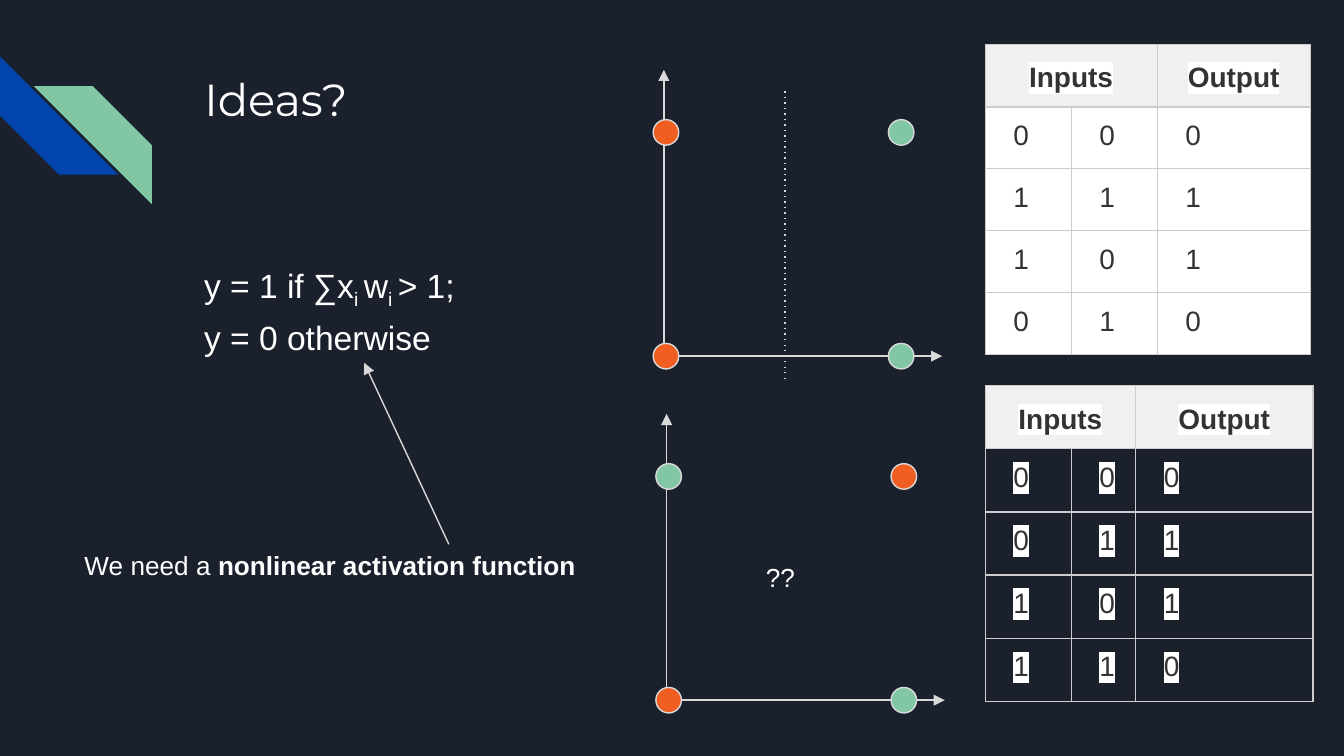
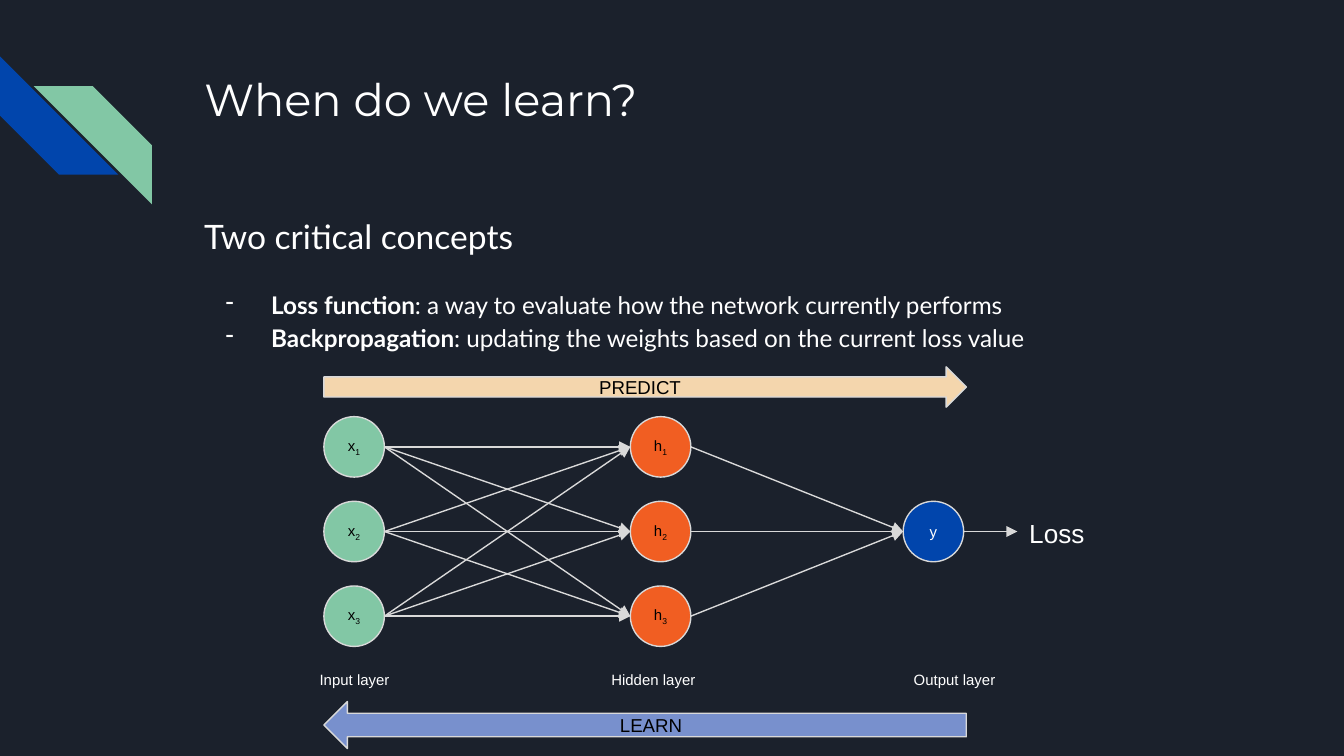
from dataclasses import dataclass
from itertools import product

from lxml import etree
from pptx import Presentation
from pptx.dml.color import RGBColor
from pptx.enum.shapes import MSO_CONNECTOR, MSO_SHAPE
from pptx.enum.text import MSO_ANCHOR, MSO_AUTO_SIZE, PP_ALIGN
from pptx.oxml.ns import qn
from pptx.util import Inches, Pt

STRIPE = MSO_SHAPE.DIAGONAL_STRIPE
DOT = MSO_SHAPE.OVAL
NODE = MSO_SHAPE.FLOWCHART_CONNECTOR
RIGHT_ARROW = MSO_SHAPE.RIGHT_ARROW
LEFT_ARROW = MSO_SHAPE.LEFT_ARROW
STRAIGHT = MSO_CONNECTOR.STRAIGHT
LEFT, CENTER = PP_ALIGN.LEFT, PP_ALIGN.CENTER
TOP, MIDDLE = MSO_ANCHOR.TOP, MSO_ANCHOR.MIDDLE
NO_FIT = MSO_AUTO_SIZE.NONE
TITLE_ONLY = 5
COLUMNS = 100


@dataclass(frozen=True)
class Theme:
    dark: str = "1B212C"
    white: str = "FFFFFF"
    black: str = "000000"
    blue: str = "0145AC"
    green: str = "82C7A5"
    orange: str = "F15E22"
    sand: str = "F4D6AD"
    periwinkle: str = "7890CD"
    line: str = "D9D9D9"
    border: str = "CCCCCC"
    header: str = "F0F0F0"
    ink: str = "333333"
    title_font: str = "Montserrat"
    body_font: str = "Lato"
    plain_font: str = "Arial"
    title: int = 24
    lead: int = 18
    cell: int = 15
    note: int = 14
    item: int = 13
    arrow: int = 10
    label: int = 8
    stroke: float = 0.75
    spacing: float = 1.15


T = Theme()


def rgb(color):
    return RGBColor.from_string(color)


def add_xml(parent, tag, **attrs):
    return etree.SubElement(parent, qn(tag), attrs)


class Deck:
    def __init__(self):
        self.prs = Presentation()
        self.prs.slide_width = Inches(10)
        self.prs.slide_height = Inches(5.625)
        self.unit = self.prs.slide_width / COLUMNS
        fill = self.prs.slide_master.background.fill
        fill.solid()
        fill.fore_color.rgb = rgb(T.dark)

    def grid(self, *cells):
        return [round(c * self.unit) for c in cells]

    def slide(self, title):
        self.s = self.prs.slides.add_slide(self.prs.slide_layouts[TITLE_ONLY])
        self.shape(STRIPE, (0, 4.2, 8.8, 8.8), T.blue, outlined=False).rotation = 270
        green = self.shape(STRIPE, (2.5, 6.4, 8.8, 8.8), T.green, outlined=False)
        green._element.spPr.find(qn("a:xfrm")).set("flipH", "1")
        sp = self.s.shapes.title
        sp.left, sp.top, sp.width, sp.height = self.grid(14.2, 4.3, 77, 10)
        self.frame(sp.text_frame)
        self.put(sp.text_frame.paragraphs[0], [title], T.title, font=T.title_font)

    def frame(self, tf, anchor=TOP):
        tf.word_wrap = True
        tf.auto_size = NO_FIT
        tf.vertical_anchor = anchor
        tf.margin_left, tf.margin_top, tf.margin_right, tf.margin_bottom = self.grid(1, 1, 1, 1)

    def put(self, p, runs, size, color=T.white, font=T.plain_font, align=LEFT, spacing=None):
        p.alignment = align
        p.line_spacing = spacing
        p.font.size = Pt(size)
        p.font.name = font
        p.font.color.rgb = rgb(color)
        for run in runs:
            text, style = (run, "") if isinstance(run, str) else run
            r = p.add_run()
            r.text = text
            if "bold" in style:
                r.font.bold = True
            rPr = r._r.get_or_add_rPr()
            if "sub" in style:
                rPr.set("baseline", "-25000")
            if "marked" in style:
                add_xml(add_xml(rPr, "a:highlight"), "a:srgbClr", val=T.white)

    def text(self, box, paragraphs, size, **style):
        tf = self.s.shapes.add_textbox(*self.grid(*box)).text_frame
        self.frame(tf)
        for i, runs in enumerate(paragraphs):
            p = tf.add_paragraph() if i else tf.paragraphs[0]
            self.put(p, runs, size, **style)
        return tf

    def bullet(self, tf, runs, before=0):
        p = tf.add_paragraph()
        self.put(p, runs, T.item, font=T.body_font, spacing=T.spacing)
        p.space_before = Pt(before)
        pPr = p._p.get_or_add_pPr()
        margin, indent = self.grid(5, -3.4)
        pPr.set("marL", str(margin))
        pPr.set("indent", str(indent))
        color = etree.Element(qn("a:buClr"))
        add_xml(color, "a:srgbClr", val=T.white)
        char = etree.Element(qn("a:buChar"), char="-")
        defaults = pPr.find(qn("a:defRPr"))
        defaults.addprevious(color)
        defaults.addprevious(char)

    def shape(self, kind, box, fill, runs=(), size=T.label, color=T.black, outlined=True):
        sp = self.s.shapes.add_shape(kind, *self.grid(*box))
        sp.shadow.inherit = False
        sp.fill.solid()
        sp.fill.fore_color.rgb = rgb(fill)
        if outlined:
            sp.line.color.rgb = rgb(T.line)
            sp.line.width = Pt(T.stroke)
        else:
            sp.line.fill.background()
        if runs:
            self.frame(sp.text_frame, MIDDLE)
            self.put(sp.text_frame.paragraphs[0], runs, size, color, align=CENTER)
        return sp

    def line(self, start, end, dotted=False):
        c = self.s.shapes.add_connector(STRAIGHT, *self.grid(*start, *end))
        c.line.color.rgb = rgb(T.line)
        c.line.width = Pt(T.stroke)
        ln = c.line._get_or_add_ln()
        if dotted:
            add_xml(ln, "a:prstDash", val="dot")
        else:
            add_xml(ln, "a:tailEnd", type="triangle")
        add_xml(c._element.spPr, "a:effectLst")

    def cell(self, cell, text, header, fill):
        margins = (2.1, 1, 2.1, 1) if header else (2.1, 1, 0.5, 1)
        cell.margin_left, cell.margin_top, cell.margin_right, cell.margin_bottom = self.grid(*margins)
        tcPr = cell._tc.get_or_add_tcPr()
        for side in ("a:lnL", "a:lnR", "a:lnT", "a:lnB"):
            ln = add_xml(tcPr, side, w=str(Pt(T.stroke)))
            add_xml(add_xml(ln, "a:solidFill"), "a:srgbClr", val=T.border)
        if fill:
            cell.fill.solid()
            cell.fill.fore_color.rgb = rgb(fill)
        else:
            cell.fill.background()
        if text:
            self.put(cell.text_frame.paragraphs[0],
                     [(text, "marked bold" if header else "marked")], T.cell, T.ink,
                     align=CENTER if header else LEFT, spacing=T.spacing if header else None)

    def truth_table(self, top, widths, row_height, rows, fill=None):
        rows = [("Inputs", "", "Output"), *rows]
        box = (73.3, top, sum(widths), row_height * len(rows))
        tbl = self.s.shapes.add_table(len(rows), len(widths), *self.grid(*box)).table
        tbl.first_row = tbl.horz_banding = False
        for column, width in zip(tbl.columns, self.grid(*widths)):
            column.width = width
        for i, row in enumerate(rows):
            for j, text in enumerate(row):
                self.cell(tbl.cell(i, j), text, i == 0, fill if i else T.header)
        tbl.cell(0, 0).merge(tbl.cell(0, 1))

    def plot(self, x, y, colors):
        self.line((x, y), (x, y - 21))
        self.line((x + 0.2, y + 0.3), (x + 20.7, y + 0.3))
        corners = product((y - 17.3, y - 0.65), (x - 0.8, x + 16.7))
        for (top, left), color in zip(corners, colors):
            self.shape(DOT, (left, top, 1.9, 1.9), color)


def ideas(deck):
    deck.slide("Ideas?")
    deck.truth_table(3.3, (6.4, 6.4, 11.4), 4.6, ("000", "111", "101", "010"), T.white)
    deck.truth_table(28.7, (6.4, 4.8, 13.2), 4.7, ("000", "011", "101", "110"))
    deck.text((14.2, 18.2, 79, 9.2), [
        ["y = 1 if ∑x", ("i ", "sub"), "w", ("i ", "sub"), "> 1;"],
        ["y = 0 otherwise"],
    ], T.lead, spacing=T.spacing)
    deck.plot(49.4, 26.2, (T.orange, T.green, T.orange, T.green))
    deck.line((58.4, 6.8), (58.4, 28.2), dotted=True)
    deck.plot(49.6, 51.8, (T.green, T.orange, T.orange, T.green))
    deck.text((56, 40.8, 15, 7.6), [["??"]], T.note)
    deck.text((5.3, 39.9, 39.9, 7.6),
              [["We need a ", ("nonlinear activation function", "bold")]], T.note)
    deck.line((33.4, 40.5), (27.1, 27))


def learning(deck):
    deck.slide("When do we learn?")
    tf = deck.text((14.2, 14.6, 77, 12.5), [["Two critical concepts"]], T.lead,
                   font=T.body_font, spacing=T.spacing)
    deck.bullet(tf, [("Loss function", "bold"),
                     ": a way to evaluate how the network currently performs"], before=16)
    deck.bullet(tf, [("Backpropagation", "bold"),
                     ": updating the weights based on the current loss value"])

    size, first, step = 4.5, 31, 6.3
    input_x, hidden_x, output_x = 24.1, 46.9, 67.2
    tops = [first + step * i for i in range(3)]
    middles = [top + size / 2 for top in tops]
    for left, letter, color in ((input_x, "x", T.green), (hidden_x, "h", T.orange)):
        for i, top in enumerate(tops, 1):
            deck.shape(NODE, (left, top, size, size), color, [letter, (str(i), "sub")])
    deck.shape(NODE, (output_x, tops[1], size, size), T.blue, ["y"], color=T.white)

    for start, end in product(middles, middles):
        deck.line((input_x + size, start), (hidden_x, end))
    for start in middles:
        deck.line((hidden_x + size, start), (output_x, middles[1]))
    deck.line((output_x + size, middles[1]), (75.7, middles[1]))
    deck.text((75.6, 37.5, 20, 7.6), [["Loss"]], T.note)

    for left, width, name in ((22.8, 7.7, "Input"), (44.5, 9.9, "Hidden"), (67, 10.5, "Output")):
        deck.text((left, 48.9, width, 3), [[f"{name} layer"]], T.label)
    deck.shape(RIGHT_ARROW, (input_x, 27.3, 47.8, 3), T.sand, ["PREDICT"], T.arrow)
    deck.shape(LEFT_ARROW, (input_x, 52.2, 47.8, 3.5), T.periwinkle, ["LEARN"], T.arrow)


def main():
    deck = Deck()
    ideas(deck)
    learning(deck)
    deck.prs.save("out.pptx")


if __name__ == "__main__":
    main()
